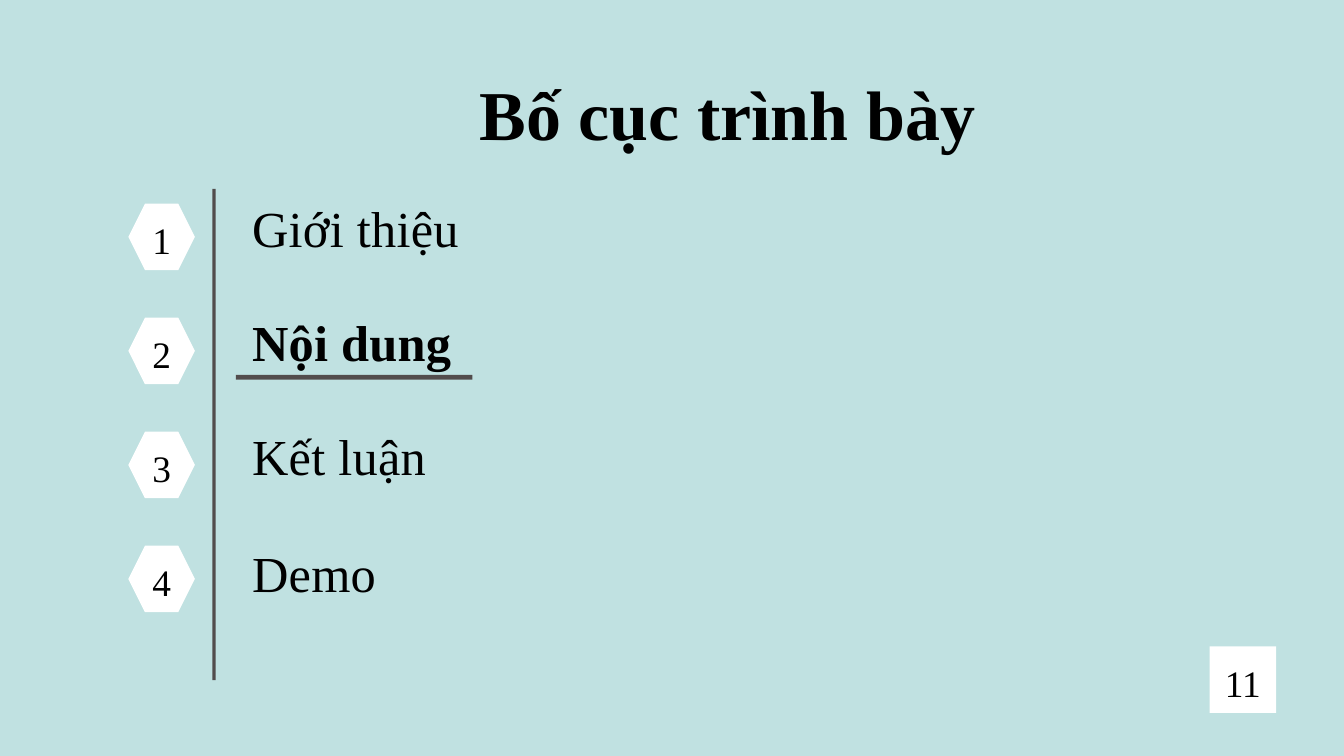
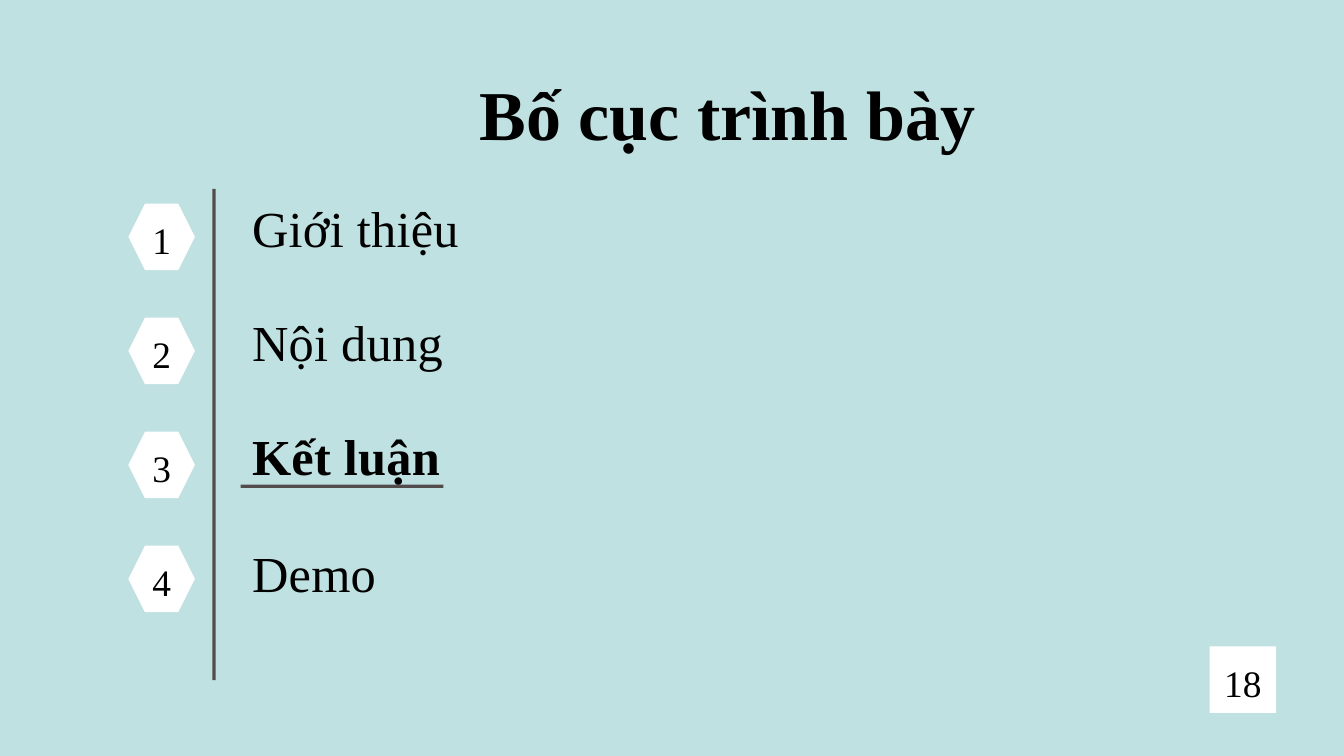
from dataclasses import dataclass

from pptx import Presentation
from pptx.dml.color import RGBColor
from pptx.enum.shapes import MSO_SHAPE as Shape
from pptx.enum.text import MSO_ANCHOR as Anchor, MSO_AUTO_SIZE as AutoSize, PP_ALIGN as Align
from pptx.util import Inches, Pt


@dataclass(frozen=True)
class Theme:
    font: str = "Times New Roman"
    background: RGBColor = RGBColor(0xC0, 0xE1, 0xE1)
    ink: RGBColor = RGBColor(0x00, 0x00, 0x00)
    badge: RGBColor = RGBColor(0xFF, 0xFF, 0xFF)
    rule: RGBColor = RGBColor(0x52, 0x4C, 0x4C)
    title_size: float = 75
    title_leading: float = 82.5
    item_size: float = 54
    item_leading: float = 45
    item_tracking: float = 0.3
    number_size: float = 40
    number_gap: float = 6


theme = Theme()

# Grid: 20 columns by 11.25 rows of square cells
COLUMNS, ROWS = 20, 11.25
CELL = Inches(1)
BADGE = 0.99
BADGE_LEFT, FIRST_ROW, ROW_PITCH = 1.91, 3.03, 1.697
LABEL_LEFT, LABEL_DROP, LABEL_HEIGHT = 3.75, 0.18, 0.67

TITLE = "Bố cục trình bày"
# Section name, label width, extra drop below its row
SECTIONS = [
    ("Giới thiệu", 5.25, 0),
    ("Nội dung", 5.25, 0),
    ("Kết luận", 6.58, 0),
    ("Demo", 6.58, 0.04),
]
# Page number, current section, place of its underline
AGENDAS = [
    ("11", "Nội dung", (3.51, 5.58, 3.52, 0.07)),
    ("18", "Kết luận", (3.58, 7.21, 3.02, 0.05)),
]


def add_block(page, kind, place, color, number=""):
    """Add a plain filled shape, with a centred number if one is given."""
    block = page.shapes.add_shape(kind, *(round(part * CELL) for part in place))
    block.shadow.inherit = False
    block.fill.solid()
    block.fill.fore_color.rgb = color
    block.line.fill.background()
    if number:
        frame = block.text_frame
        frame.vertical_anchor = Anchor.MIDDLE
        frame.margin_top = Inches(0.05) + Pt(theme.number_gap)
        para = frame.paragraphs[0]
        para.alignment = Align.CENTER
        para.space_after = Pt(theme.number_gap)
        span = para.add_run()
        span.text = number
        span.font.name = theme.font
        span.font.size = Pt(theme.number_size)
        span.font.color.rgb = theme.ink


def add_text(page, place, text, size, leading, align, bold=False, tracking=0):
    """Add one line of text in a box without margins."""
    box = page.shapes.add_textbox(*(round(part * CELL) for part in place))
    frame = box.text_frame
    frame.word_wrap = True
    frame.auto_size = AutoSize.SHAPE_TO_FIT_TEXT
    frame.margin_left = frame.margin_right = frame.margin_top = frame.margin_bottom = 0
    para = frame.paragraphs[0]
    para.alignment = align
    para.line_spacing = Pt(leading)
    span = para.add_run()
    span.text = text
    span.font.name = theme.font
    span.font.size = Pt(size)
    span.font.bold = bold
    span.font.color.rgb = theme.ink
    if tracking:
        span._r.get_or_add_rPr().set("spc", str(round(tracking * 100)))


deck = Presentation()
deck.slide_width = round(COLUMNS * CELL)
deck.slide_height = round(ROWS * CELL)
backdrop = deck.slide_master.background.fill
backdrop.solid()
backdrop.fore_color.rgb = theme.background

for page_number, current, underline in AGENDAS:
    page = deck.slides.add_slide(deck.slide_layouts[6])

    # Title and vertical rule
    add_text(page, (6.22, 1.16, 9.21, 1.19), TITLE,
             theme.title_size, theme.title_leading, Align.CENTER, bold=True)
    add_block(page, Shape.RECTANGLE, (3.16, 2.81, 0.05, 7.31), theme.rule)

    # Numbered sections, the current one in bold
    for index, (name, width, drop) in enumerate(SECTIONS):
        top = FIRST_ROW + index * ROW_PITCH
        add_block(page, Shape.HEXAGON, (BADGE_LEFT, top, BADGE, BADGE),
                  theme.badge, str(index + 1))
        add_text(page, (LABEL_LEFT, top + LABEL_DROP + drop, width, LABEL_HEIGHT), name,
                 theme.item_size, theme.item_leading, Align.LEFT,
                 bold=name == current, tracking=theme.item_tracking)
    add_block(page, Shape.RECTANGLE, underline, theme.rule)

    # Page number
    add_block(page, Shape.RECTANGLE, (18, 9.62, BADGE, BADGE), theme.badge, page_number)

deck.save("out.pptx")
